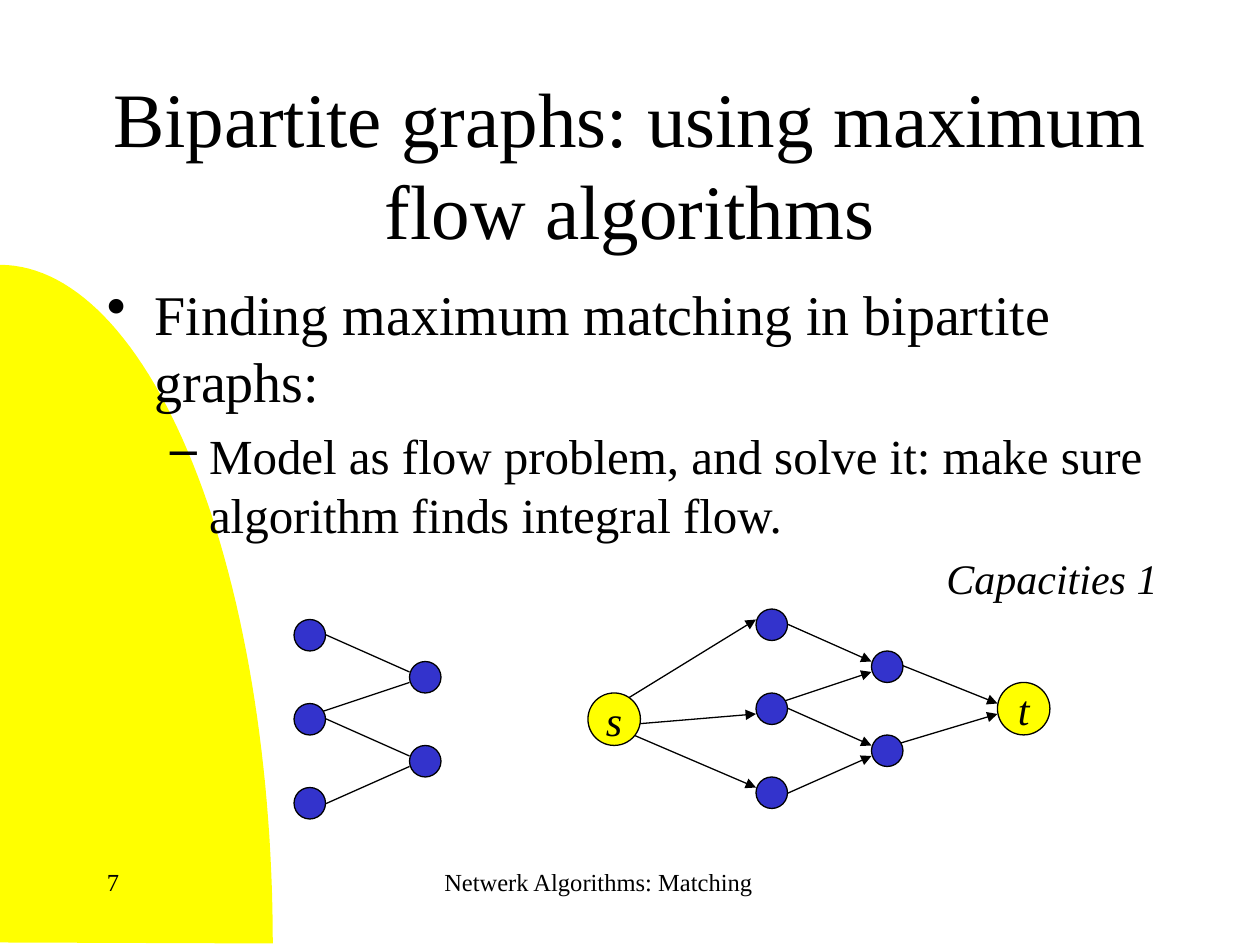
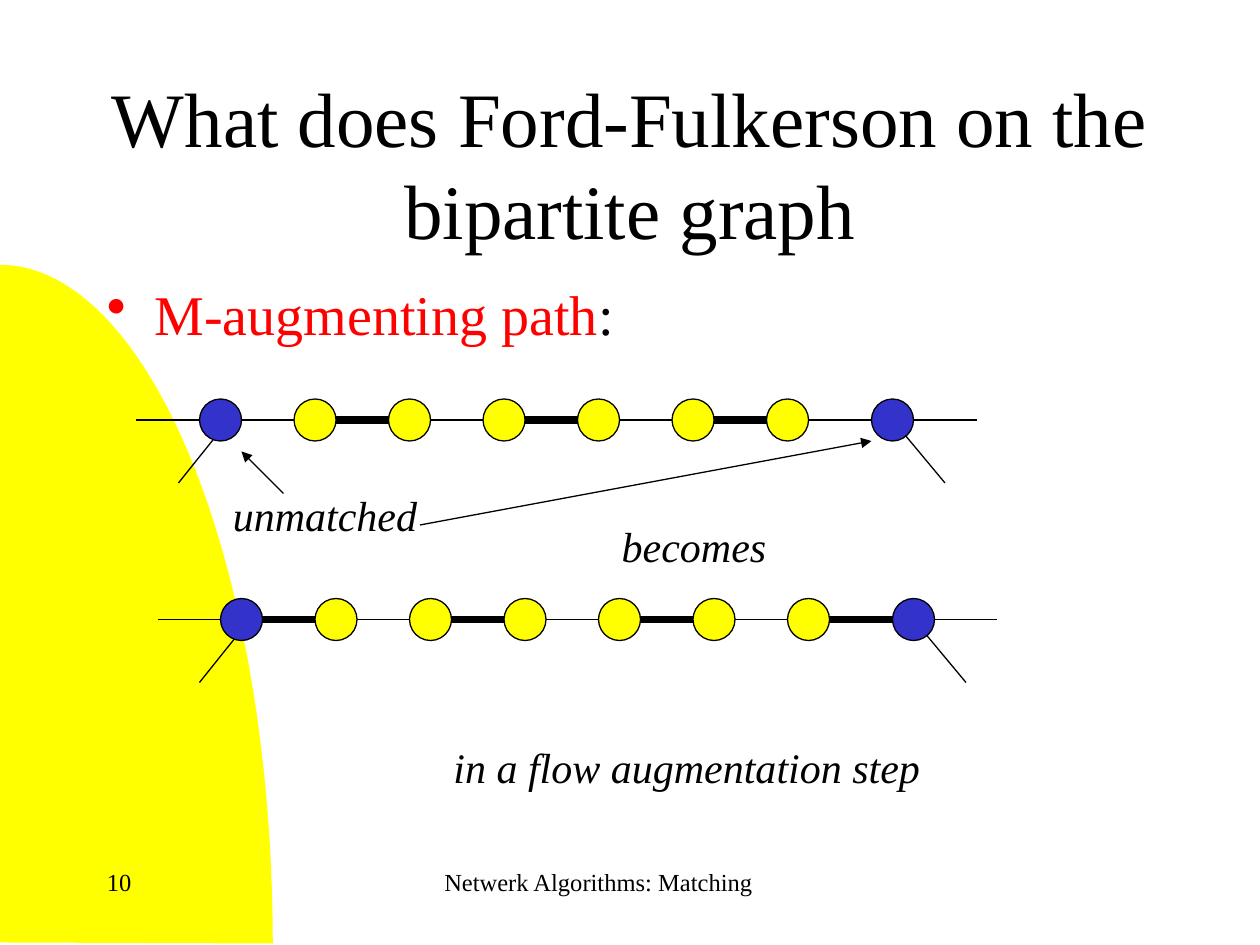
import math
from lxml import etree
from pptx import Presentation
from pptx import util as u
from pptx.dml.color import RGBColor
from pptx.enum import shapes, text
from pptx.oxml.ns import qn

COLORS = {"ink": "000000", "node": "3333CC", "sun": "FFFF00", "accent": "FF0000"}
FONT = "Times New Roman"
STEP = 2.54 / 12  # cm per grid unit; every position below is in grid units
LABEL = {"size": u.Pt(24), "italic": True}
CENTER = text.PP_ALIGN.CENTER


def add_line(slide, x1, y1, x2, y2, weight=0.75, arrow=False):
    ends = [u.Cm(STEP * v) for v in (x1, y1, x2, y2)]
    line = slide.shapes.add_connector(shapes.MSO_CONNECTOR.STRAIGHT, *ends)
    line.line.width = u.Pt(weight)
    line.line.color.rgb = RGBColor.from_string(COLORS["ink"])
    properties = line._element.spPr
    if arrow:
        etree.SubElement(properties.find(qn("a:ln")), qn("a:tailEnd"), type="triangle")
    etree.SubElement(properties, qn("a:effectLst"))


def add_box(slide, box, paragraphs=(), fill=None, wrap=False, align=CENTER,
            anchor=text.MSO_ANCHOR.TOP, style=LABEL):
    """Add a filled circle, or a text box without fill; a paragraph is a list of (words, color)."""
    place = [u.Cm(STEP * v) for v in box]
    if fill:
        shape = slide.shapes.add_shape(shapes.MSO_SHAPE.OVAL, *place)
        shape.shadow.inherit = False
        shape.fill.solid()
        shape.fill.fore_color.rgb = RGBColor.from_string(COLORS[fill])
        shape.line.color.rgb = RGBColor.from_string(COLORS["ink"])
        shape.line.width = u.Pt(0.75)
    else:
        shape = slide.shapes.add_textbox(*place)
    frame = shape.text_frame
    frame.word_wrap = wrap
    frame.vertical_anchor = anchor
    if not (fill or wrap):
        frame.auto_size = text.MSO_AUTO_SIZE.SHAPE_TO_FIT_TEXT
    for i, runs in enumerate(paragraphs):
        paragraph = frame.paragraphs[0] if i == 0 else frame.add_paragraph()
        paragraph.alignment = align
        for words, color in runs:
            run = paragraph.add_run()
            run.text = words
            for name, value in {"name": FONT, **style}.items():
                setattr(run.font, name, value)
            run.font.color.rgb = RGBColor.from_string(COLORS[color])
    return frame


prs = Presentation()
prs.slide_width, prs.slide_height = u.Cm(25.4), u.Cm(19.05)

# Bullet levels: sign, left margin and hanging indent in cm, size, space before
LEVELS = [("•", 0.96, 0.96, 32, 0), ("–", 2.06, 0.79, 28, 7)]
PAGES = [
    ("7", "Bipartite graphs: using maximum flow algorithms",
     [[("Finding maximum matching in bipartite graphs:", "ink")],
      [("Model as flow problem, and solve it: make sure algorithm finds integral flow.", "ink")]]),
    ("10", "What does Ford-Fulkerson on the bipartite graph",
     [[("M-augmenting path", "accent"), (":", "ink")]]),
]
slides = []
for number, title, points in PAGES:
    slide = prs.slides.add_slide(prs.slide_layouts[6])
    slides.append(slide)

    # Quarter ellipse rising from the lower left corner
    arc = [(u.Cm(5.5 * math.sin(a)), u.Cm(19.02 - 13.68 * math.cos(a)))
           for a in (math.pi / 2 * i / 60 for i in range(61))]
    builder = slide.shapes.build_freeform(*arc[0])
    builder.add_line_segments(arc[1:] + [(0, u.Cm(19))])
    hill = builder.convert_to_shape()
    hill.shadow.inherit = False
    hill.fill.solid()
    hill.fill.fore_color.rgb = RGBColor.from_string(COLORS["sun"])
    hill.line.fill.background()

    add_box(slide, (9, 8, 102, 15), [[(title, "ink")]], wrap=True,
            anchor=text.MSO_ANCHOR.MIDDLE, style={"size": u.Pt(44)})
    body = add_box(slide, (9, 26, 102, 54), points, wrap=True,
                   align=text.PP_ALIGN.LEFT, style={})
    for paragraph, runs, level in zip(body.paragraphs, points, LEVELS):
        sign, margin, hang, size, before = level
        properties = paragraph._p.get_or_add_pPr()
        properties.set("marL", str(u.Cm(margin)))
        properties.set("indent", str(-u.Cm(hang)))
        bullet_color = etree.SubElement(properties, qn("a:buClr"))
        etree.SubElement(bullet_color, qn("a:srgbClr"), val=COLORS[runs[0][1]])
        etree.SubElement(properties, qn("a:buChar"), char=sign)
        paragraph.space_before = u.Pt(before)
        for run in paragraph.runs:
            run.font.size = u.Pt(size)

    add_box(slide, (38, 82, 38, 6), [[("Netwerk Algorithms: Matching", "ink")]],
            wrap=True, style={"size": u.Pt(14)})
    add_box(slide, (9, 82, 25, 6), [[(number, "ink")]], wrap=True,
            align=text.PP_ALIGN.LEFT, style={"size": u.Pt(14)})

flow, path = slides

# The bipartite graph, then the same graph as a flow network between s and t
EDGES = [(30, 60, 39, 64), (30, 68, 39, 65), (30, 68, 39, 72), (30, 77, 39, 73)]
NODES = [(28, 59), (28, 67), (28, 75), (39, 63), (39, 71)]
TERMINAL_ARCS = [(59, 67, 72, 59), (60, 69, 72, 68), (58, 69, 72, 75),
                 (85, 63, 95, 67), (85, 71, 95, 68)]
for arc in TERMINAL_ARCS:
    add_line(flow, *arc, arrow=True)
for dx, dy, directed in ((0, 0, False), (44, -1, True)):
    for x1, y1, x2, y2 in EDGES:
        add_line(flow, x1 + dx, y1 + dy, x2 + dx, y2 + dy, arrow=directed)
    for x, y in NODES:
        add_box(flow, (x + dx, y + dy, 3, 3), fill="node")
for name, x, y in (("s", 56, 66), ("t", 95, 65)):
    add_box(flow, (x, y, 5, 5), [[(name, "ink")]], fill="sun",
            anchor=text.MSO_ANCHOR.MIDDLE)
add_box(flow, (88.7, 52, 23, 6), [[("Capacities 1", "ink")]])

# The path before and after augmentation: matched (thick) edges swap
LOOSE_ENDS = [(21, 40, 13, 40), (21, 41, 17, 46), (85, 40, 90, 46), (85, 40, 93, 40)]
PATH_NODES = [19 + 9 * i for i in range(7)] + [83]
for dx, dy, first_matched in ((0, 0, 1), (2, 19, 0)):
    for x1, y1, x2, y2 in LOOSE_ENDS:
        add_line(path, x1 + dx, y1 + dy, x2 + dx, y2 + dy)
    for i in range(7):
        x = 22 + 9 * i + dx
        add_line(path, x, 40 + dy, x + 8, 40 + dy,
                 weight=4.5 if i % 2 == first_matched else 0.75)
    for x in PATH_NODES:
        add_box(path, (x + dx, 38 + dy, 4, 4),
                fill="node" if x in (PATH_NODES[0], PATH_NODES[-1]) else "sun")
for pointer in ((27, 47, 23, 43), (40, 50, 83, 42)):
    add_line(path, *pointer, arrow=True)
for words, x, y, width in (("unmatched", 20.7, 46, 20.5), ("becomes", 57.7, 49, 16.8),
                           ("in a flow augmentation step", 41.7, 70, 47.4)):
    add_box(path, (x, y, width, 6), [[(words, "ink")]])

prs.save("out.pptx")
